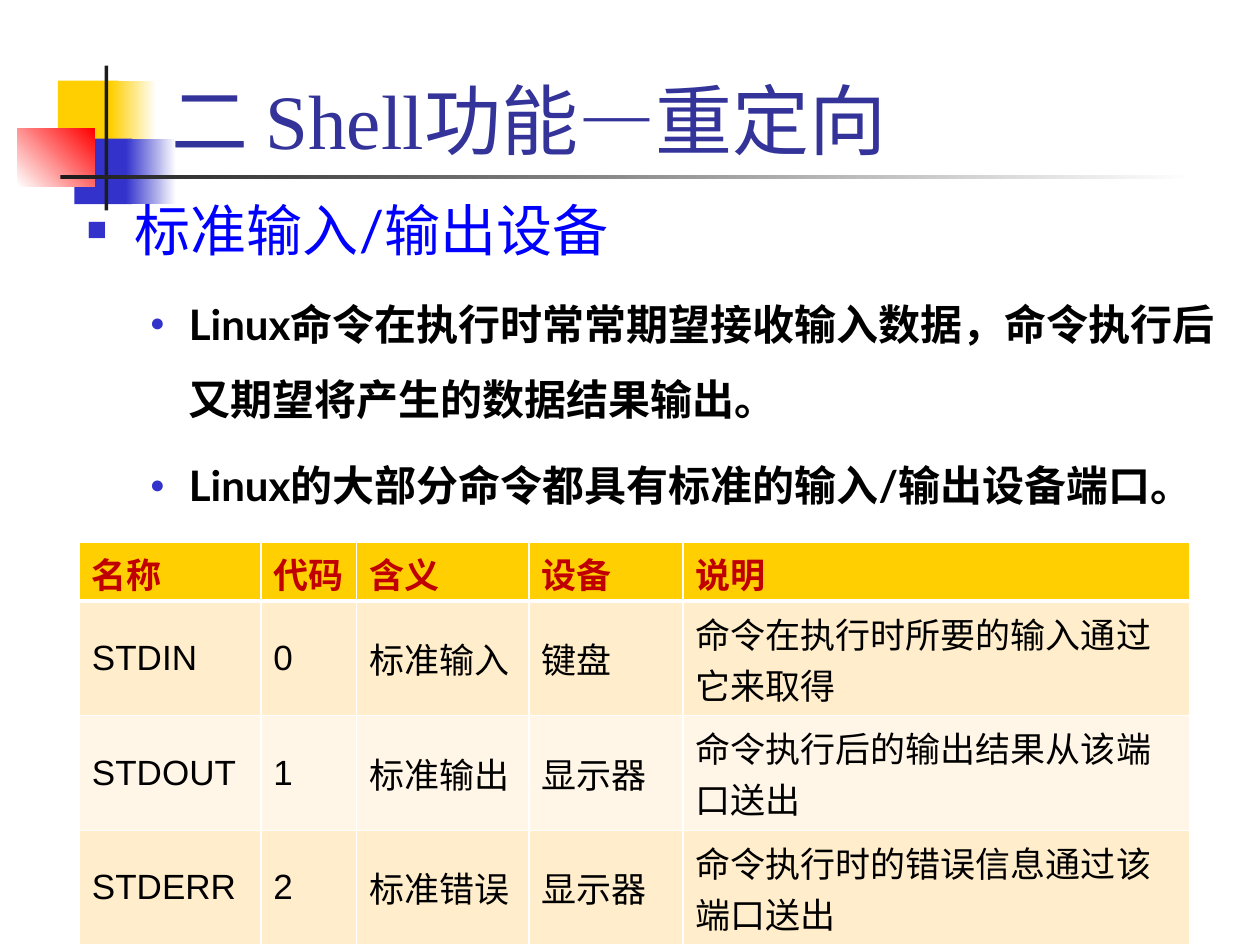
from dataclasses import dataclass
from typing import Optional

from lxml.etree import SubElement
from pptx import Presentation
from pptx.dml.color import RGBColor
from pptx.enum.lang import MSO_LANGUAGE_ID as LANG
from pptx.enum.shapes import MSO_SHAPE
from pptx.enum.text import MSO_ANCHOR, MSO_AUTO_SIZE, PP_ALIGN
from pptx.oxml.ns import qn
from pptx.util import Inches, Pt

COLORS = {
    "yellow": "FFCF01", "blue": "3333CC", "red": "FF0000", "dark": "1C1C1C",
    "white": "FFFFFF", "title": "333399", "heading": "0000FF", "black": "000000",
    "header": "C00000", "odd": "FFEDCC", "even": "FFF6E7",
}


@dataclass
class Block:
    at: tuple[float, float, float, float]
    color: str
    fade_to: Optional[str] = None
    angle: float = 0  # counter-clockwise


@dataclass
class Bullet:
    text: str
    char: str
    left: float
    hang: float
    font: dict
    line_spacing: float = 1.0
    space_before: float = 0


def rgb(name: str) -> RGBColor:
    return RGBColor.from_string(COLORS[name])


def add_run(p, text: str, color: str, **font) -> None:
    r = p.add_run()
    r.text = text
    r.font.color.rgb = rgb(color)
    r.font.language_id = LANG.SIMPLIFIED_CHINESE
    for name, value in font.items():
        setattr(r.font, name, value)


def add_block(s, block: Block) -> None:
    sp = s.shapes.add_shape(MSO_SHAPE.RECTANGLE, *map(Inches, block.at))
    sp.shadow.inherit = False
    sp.line.fill.background()
    if block.fade_to is None:
        sp.fill.solid()
        sp.fill.fore_color.rgb = rgb(block.color)
        return
    sp.fill.gradient()
    sp.fill.gradient_angle = block.angle
    for stop, name in zip(sp.fill.gradient_stops, (block.color, block.fade_to)):
        stop.color.rgb = rgb(name)


def add_bullet(p, bullet: Bullet) -> None:
    pPr = p._p.get_or_add_pPr()
    pPr.set("marL", str(Inches(bullet.left)))
    pPr.set("indent", str(-Inches(bullet.hang)))
    clr = SubElement(pPr, qn("a:buClr"))
    SubElement(clr, qn("a:srgbClr"), val=COLORS["blue"])
    SubElement(pPr, qn("a:buSzPct"), val="60000")
    SubElement(pPr, qn("a:buFont"), typeface="Arial")
    SubElement(pPr, qn("a:buChar"), char=bullet.char)
    p.line_spacing = bullet.line_spacing
    p.space_before = Pt(bullet.space_before)
    add_run(p, bullet.text, name="Lato", **bullet.font)


def set_borders(cell, top: float, bottom: float) -> None:
    tcPr = cell._tc.get_or_add_tcPr()
    for side, width in {"L": 1, "R": 1, "T": top, "B": bottom}.items():
        ln = SubElement(tcPr, qn(f"a:ln{side}"), w=str(Pt(width)))
        fill = SubElement(ln, qn("a:solidFill"))
        SubElement(fill, qn("a:srgbClr"), val=COLORS["white"])


def add_device_table(s, rows: list[tuple[str, ...]], widths: list[float]) -> None:
    # One text line in the header, two in each body row
    heights = [0.47] + [0.91] * (len(rows) - 1)
    frame = s.shapes.add_table(len(rows), len(widths), Inches(0.63), Inches(4.3),
                               Inches(sum(widths)), Inches(sum(heights)))
    table = frame.table
    for column, width in zip(table.columns, widths):
        column.width = Inches(width)
    for i, row in enumerate(rows):
        table.rows[i].height = Inches(heights[i])
        is_header = i == 0
        fill = "yellow" if is_header else "odd" if i % 2 else "even"
        for j, text in enumerate(row):
            cell = table.cell(i, j)
            set_borders(cell, top=3 if i == 1 else 1, bottom=3 if is_header else 1)
            cell.fill.solid()
            cell.fill.fore_color.rgb = rgb(fill)
            cell.vertical_anchor = MSO_ANCHOR.TOP if is_header else MSO_ANCHOR.MIDDLE
            add_run(cell.text_frame.paragraphs[0], text,
                    "header" if is_header else "black",
                    name="Arial", size=Pt(20), bold=is_header)


BLOCKS = [
    Block((0.46, 0.64, 0.48, 0.52), "yellow"),
    Block((0.88, 0.64, 0.36, 0.52), "yellow", "white"),
    Block((0.59, 1.1, 0.46, 0.52), "blue"),
    Block((1, 1.1, 0.4, 0.52), "blue", "white"),
    Block((0.14, 1.02, 0.61, 0.46), "white", "red", 45),
    Block((0.83, 0.52, 0.03, 1.15), "dark"),
    Block((0.48, 1.39, 9, 0.03), "dark", "white"),
]
HEADING = {"color": "heading", "size": Pt(32)}
DETAIL = {"color": "black", "size": Pt(24), "bold": True}
BULLETS = [
    Bullet("标准输入/输出设备", "■", 0.38, 0.38, HEADING),
    Bullet("Linux命令在执行时常常期望接收输入数据，命令执行后又期望将产生的数据结果输出。",
           "●", 0.81, 0.31, DETAIL, 1.5, 6),
    Bullet("Linux的大部分命令都具有标准的输入/输出设备端口。",
           "●", 0.81, 0.31, DETAIL, 1.5, 6),
]
DEVICES = [
    ("名称", "代码", "含义", "设备", "说明"),
    ("STDIN", "0", "标准输入", "键盘", "命令在执行时所要的输入通过它来取得"),
    ("STDOUT", "1", "标准输出", "显示器", "命令执行后的输出结果从该端口送出"),
    ("STDERR", "2", "标准错误", "显示器", "命令执行时的错误信息通过该端口送出"),
]


def main() -> None:
    prs = Presentation()
    prs.slide_width, prs.slide_height = Inches(10), Inches(7.5)
    s = prs.slides.add_slide(prs.slide_layouts[5])

    # Corner decoration, kept behind the title
    for block in BLOCKS:
        add_block(s, block)

    # Title
    title = s.shapes.title
    s.shapes._spTree.append(title._element)
    title.left, title.top, title.width, title.height = map(Inches, (1.26, 0.21, 8.52, 1.15))
    tf = title.text_frame
    tf.auto_size = MSO_AUTO_SIZE.NONE
    tf.vertical_anchor = MSO_ANCHOR.BOTTOM
    p = tf.paragraphs[0]
    p.alignment = PP_ALIGN.LEFT
    add_run(p, "二 Shell功能—重定向", "title", name="Times New Roman", size=Pt(44))

    # Bulleted text
    tf = s.shapes.add_textbox(*map(Inches, (0.59, 1.5, 9.19, 4.5))).text_frame
    tf.word_wrap = True
    for i, bullet in enumerate(BULLETS):
        add_bullet(tf.add_paragraph() if i else tf.paragraphs[0], bullet)

    # Standard device table
    add_device_table(s, DEVICES, [1.44, 0.76, 1.37, 1.22, 4.02])

    prs.save("out.pptx")


if __name__ == "__main__":
    main()
